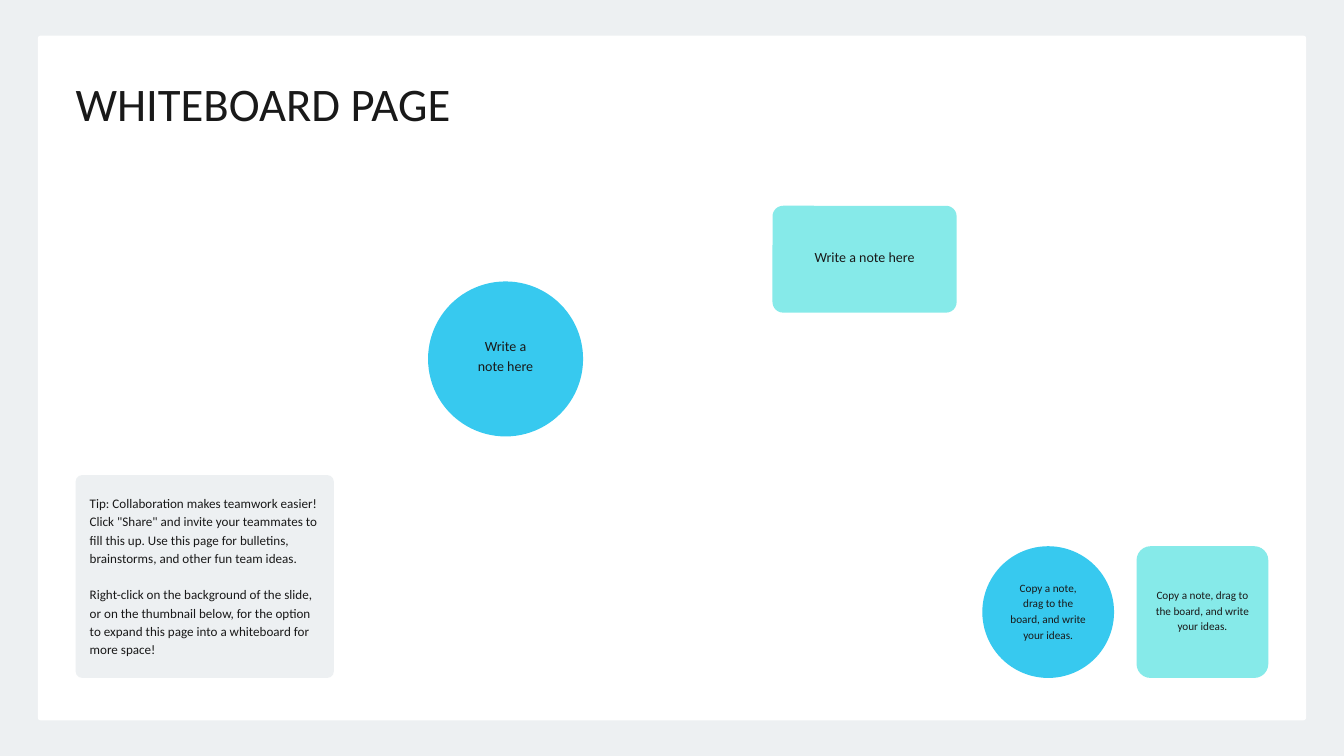
from pptx import Presentation
from pptx.dml.color import RGBColor
from pptx.enum.shapes import MSO_SHAPE
from pptx.enum.text import MSO_ANCHOR, MSO_AUTO_SIZE, PP_ALIGN
from pptx.util import Cm, Pt

ROUNDED, CIRCLE = MSO_SHAPE.ROUNDED_RECTANGLE, MSO_SHAPE.OVAL
TOP, MIDDLE = MSO_ANCHOR.TOP, MSO_ANCHOR.MIDDLE
LEFT, CENTER = PP_ALIGN.LEFT, PP_ALIGN.CENTER

FONT = "Calibri"
COLORS = {"page": "EDF0F2", "board": "FFFFFF", "ink": "191919",
          "aqua": "86EAE9", "blue": "37C9EF"}

# Lengths in centimetres
PAGE_WIDTH, PAGE_HEIGHT = 50.8, 28.58
BOARD_X, BOARD_Y = 1.43, 1.35
MARGIN_X, CONTENT_BOTTOM = 2.86, 25.63
CONTENT_RIGHT = PAGE_WIDTH - MARGIN_X
COPY_SIZE, COPY_GAP = 4.98, 0.85
TIP_WIDTH, TIP_HEIGHT = 9.76, 7.67

TITLE = "WHITEBOARD PAGE"
COPY_NOTE = ["Copy a note, drag to the board, and write your ideas."]
TIP = [
    'Tip: Collaboration makes teamwork easier! Click "Share" and invite your '
    "teammates to fill this up. Use this page for bulletins, brainstorms, and "
    "other fun team ideas.",
    "Right-click on the background of the slide, or on the thumbnail below, for "
    "the option to expand this page into a whiteboard for more space!",
]

copy_y = CONTENT_BOTTOM - COPY_SIZE
square_x = CONTENT_RIGHT - COPY_SIZE
circle_x = square_x - COPY_GAP - COPY_SIZE

# lift: how far the text sits above the middle of its shape
NOTES = [
    dict(kind=ROUNDED, place=(29.2, 7.78, 6.96, 4.04), color="aqua", radius=0.4,
         lines=["Write a note here"], size=15, leading=21, inset=0.58, lift=0.13),
    dict(kind=CIRCLE, place=(16.18, 10.64, 5.86, 5.86), color="blue",
         lines=["Write a", "note here"], size=15, leading=21, inset=0.41, lift=0.16),
    dict(kind=ROUNDED, place=(square_x, copy_y, COPY_SIZE, COPY_SIZE), color="aqua",
         radius=0.53, lines=COPY_NOTE, size=12, leading=16.8, inset=0.56, lift=0.09),
    dict(kind=CIRCLE, place=(circle_x, copy_y, COPY_SIZE, COPY_SIZE), color="blue",
         lines=COPY_NOTE, size=12, leading=16.8, inset=0.26, lift=0.08),
    dict(kind=ROUNDED, color="page", radius=0.25,
         place=(MARGIN_X, CONTENT_BOTTOM - TIP_HEIGHT, TIP_WIDTH, TIP_HEIGHT),
         lines=TIP, size=14, leading=19.6, inset=0.46, lift=0.05,
         align=LEFT, gap=19.6),
]


def write_text(shape, lines, size, leading, inset=0, lift=0, align=CENTER,
               anchor=MIDDLE, gap=0):
    frame = shape.text_frame
    frame.word_wrap = True
    frame.vertical_anchor = anchor
    frame.margin_left = frame.margin_right = Cm(inset)
    frame.margin_top, frame.margin_bottom = Cm(0), Cm(2 * lift)
    frame.text = "\n".join(lines)
    for index, para in enumerate(frame.paragraphs):
        para.alignment = align
        para.line_spacing = Pt(leading)
        para.space_before = Pt(gap if index else 0)
        para.font.name = FONT
        para.font.size = Pt(size)
        para.font.color.rgb = RGBColor.from_string(COLORS["ink"])


def add_panel(page, kind, place, color, radius=0):
    panel = page.shapes.add_shape(kind, *map(Cm, place))
    panel.shadow.inherit = False
    panel.fill.solid()
    panel.fill.fore_color.rgb = RGBColor.from_string(COLORS[color])
    panel.line.fill.background()
    if kind == ROUNDED:
        panel.adjustments[0] = radius / min(place[2:])
    return panel


def add_note(page, kind, place, color, radius=0, **text_format):
    write_text(add_panel(page, kind, place, color, radius), **text_format)


def add_title(page):
    title = page.shapes.title
    title.left, title.top = Cm(MARGIN_X), Cm(2.82)
    title.width, title.height = Cm(19.18), Cm(2.13)
    write_text(title, [TITLE], size=50, leading=60, align=LEFT, anchor=TOP)
    title.text_frame.auto_size = MSO_AUTO_SIZE.SHAPE_TO_FIT_TEXT
    page.shapes.element.append(title.element)  # bring in front of the board


def main():
    deck = Presentation()
    deck.slide_width, deck.slide_height = Cm(PAGE_WIDTH), Cm(PAGE_HEIGHT)
    page = deck.slides.add_slide(deck.slide_layouts[5])
    page.background.fill.solid()
    page.background.fill.fore_color.rgb = RGBColor.from_string(COLORS["page"])

    board = (BOARD_X, BOARD_Y, PAGE_WIDTH - 2 * BOARD_X, PAGE_HEIGHT - 2 * BOARD_Y)
    add_panel(page, ROUNDED, board, "board", radius=0.1)
    for note in NOTES:
        add_note(page, **note)
    add_title(page)
    deck.save("out.pptx")


if __name__ == "__main__":
    main()
